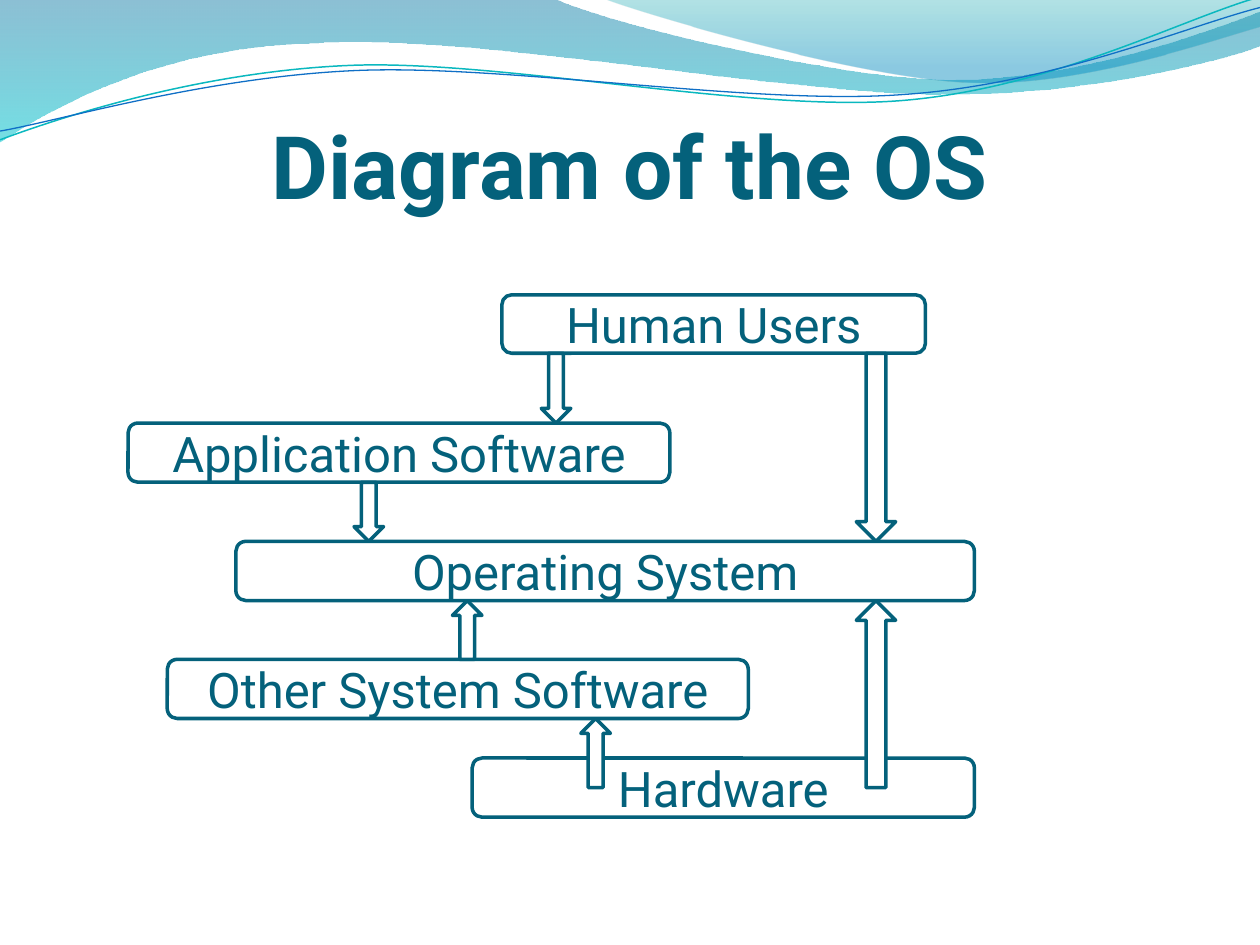
from dataclasses import dataclass
from math import cos, radians, sin
from typing import NamedTuple

from lxml.etree import SubElement
from pptx import Presentation
from pptx.dml.color import RGBColor
from pptx.enum.shapes import MSO_SHAPE
from pptx.enum.text import MSO_ANCHOR, PP_ALIGN
from pptx.oxml.ns import qn
from pptx.util import Pt


@dataclass(frozen=True)
class Theme:
    font: str = "Roboto"
    ink: str = "04617B"
    paper: str = "FFFFFF"
    title_size: float = 50
    label_size: float = 28
    outline: float = 2


class Stop(NamedTuple):
    position: float
    color: str
    opacity: int


class Wave(NamedTuple):
    start: tuple
    segments: list
    stops: tuple


class Swoosh(NamedTuple):
    start: tuple
    segments: list
    pivot: tuple
    color: str
    width: float


class Layer(NamedTuple):
    label: str
    left: float
    top: float
    width: float
    height: float = 33.8

    @property
    def bottom(self) -> float:
        return self.top + self.height

    @property
    def middle(self) -> float:
        return self.top + self.height / 2


class Arrow(NamedTuple):
    center: float
    start: float
    end: float
    width: float


THEME = Theme()
NARROW, WIDE = 16.9, 22.5
TILT = 2.7

WAVES = [
    Wave((0, 0), [
        (316.8, -0.7),
        (342.7, 12.2, 478.1, 45.4, 545.8, 45.4),
        (614.2, 45.4, 689.8, 18.7, 720, 6.5),
        (720.7, 25.9),
        (707.8, 31.7, 626.4, 54.7, 537.1, 54),
        (447.8, 54, 275, 20.2, 185, 24.5),
        (92.9, 25.9, 33.1, 59.8, -0.7, 81.4),
    ], (Stop(0, "0074A1", 45), Stop(1, "00C6CF", 55))),
    Wave((344.9, -0.7), [
        (366.5, 7.9, 491, 44.6, 553.7, 46.8),
        (616.3, 49.7, 691.9, 23, 720, 15.1),
        (720, 0),
    ], (Stop(0, "00A1A9", 30), Stop(0.8, "008BBF", 45))),
]
SWOOSHES = [
    Swoosh((0, 79.9), [
        (34.6, 67, 113.8, 41, 199.4, 37.4),
        (284.4, 33.8, 427, 64.1, 513.4, 57.6),
        (599.8, 51.1, 675.4, 10.8, 718.6, -1.4),
    ], (359.3, 41.4), "0AB8BF", 0.85),
    Swoosh((0, 74.9), [
        (33.8, 69.1, 118.1, 43.9, 203.8, 40.3),
        (290.2, 36.7, 430.6, 60.5, 516.2, 54),
        (601.9, 48.2, 677.5, 15.1, 720, 4.3),
    ], (359.6, 42.5), "0F6FC6", 0.75),
]

USERS = Layer("Human Users", 286.8, 168.5, 242, 33.4)
APPLICATIONS = Layer("Application Software", 73.2, 241.8, 309.6)
SYSTEM = Layer("Operating System", 134.8, 309.4, 422)
OTHER = Layer("Other System Software", 95.6, 376.8, 332)
HARDWARE = Layer("Hardware", 269.8, 433.2, 287)
LAYERS = [USERS, APPLICATIONS, SYSTEM, OTHER, HARDWARE]
ARROWS = [
    Arrow(500.6, USERS.bottom, SYSTEM.top, WIDE),
    Arrow(500.6, HARDWARE.middle, SYSTEM.bottom, WIDE),
    Arrow(340.4, HARDWARE.middle, OTHER.bottom, NARROW),
    Arrow(267, OTHER.top, SYSTEM.bottom, NARROW),
    Arrow(317.8, USERS.bottom, APPLICATIONS.top, NARROW),
    Arrow(210.8, APPLICATIONS.bottom, SYSTEM.top, NARROW),
]


def color(value: str) -> RGBColor:
    return RGBColor.from_string(value)


def turn(values: tuple, pivot: tuple, degrees: float) -> tuple:
    cosine, sine = cos(radians(degrees)), sin(radians(degrees))
    turned = []
    for x, y in zip(values[::2], values[1::2]):
        across, down = x - pivot[0], y - pivot[1]
        turned += [pivot[0] + across * cosine - down * sine,
                   pivot[1] + across * sine + down * cosine]
    return tuple(turned)


def draw_outline(page, start: tuple, segments: list, close: bool):
    builder = page.shapes.build_freeform(Pt(start[0]), Pt(start[1]), scale=1.0)
    builder.add_line_segments([(Pt(s[-2]), Pt(s[-1])) for s in segments], close=close)
    shape = builder.convert_to_shape()
    shape.shadow.inherit = False
    lines = list(shape._element.spPr.iter(qn("a:lnTo")))
    for line, segment in zip(lines, segments):
        if len(segment) == 2:
            continue
        line.tag = qn("a:cubicBezTo")
        for index, (x, y) in enumerate((segment[:2], segment[2:4])):
            point = line.makeelement(qn("a:pt"), {
                "x": str(Pt(x) - shape.left), "y": str(Pt(y) - shape.top)})
            line.insert(index, point)
    return shape


def draw_wave(page, wave: Wave) -> None:
    shape = draw_outline(page, wave.start, wave.segments, True)
    shape.line.fill.background()
    shape.fill.gradient()
    shape.fill.gradient_angle = 270
    for target, stop in zip(shape.fill.gradient_stops, wave.stops):
        target.position = stop.position
        target.color.rgb = color(stop.color)
    for node, stop in zip(shape._element.spPr.iter(qn("a:srgbClr")), wave.stops):
        SubElement(node, qn("a:alpha")).set("val", str(stop.opacity * 1000))


def draw_swoosh(page, swoosh: Swoosh) -> None:
    start = turn(swoosh.start, swoosh.pivot, TILT)
    segments = [turn(segment, swoosh.pivot, TILT) for segment in swoosh.segments]
    shape = draw_outline(page, start, segments, False)
    shape.rotation = 360 - TILT
    shape.fill.background()
    shape.line.color.rgb = color(swoosh.color)
    shape.line.width = Pt(swoosh.width)


def write(box, text: str, size: float, bold: bool, anchor: MSO_ANCHOR) -> None:
    frame = box.text_frame
    frame.text = text
    frame.word_wrap = True
    frame.vertical_anchor = anchor
    para = frame.paragraphs[0]
    para.alignment = PP_ALIGN.CENTER
    font = para.runs[0].font
    font.name, font.size, font.bold = THEME.font, Pt(size), bold
    font.color.rgb = color(THEME.ink)


def draw_title(page, text: str) -> None:
    box = page.shapes.add_textbox(Pt(33.8), Pt(33.8), Pt(652.4), Pt(90))
    write(box, text, THEME.title_size, True, MSO_ANCHOR.BOTTOM)
    frame = box.text_frame
    frame.margin_left = frame.margin_right = frame.margin_bottom = 0


def draw_preset(page, kind: MSO_SHAPE, left: float, top: float, width: float, height: float):
    shape = page.shapes.add_shape(kind, Pt(left), Pt(top), Pt(width), Pt(height))
    shape.shadow.inherit = False
    shape.fill.solid()
    shape.fill.fore_color.rgb = color(THEME.paper)
    shape.line.color.rgb = color(THEME.ink)
    shape.line.width = Pt(THEME.outline)
    return shape


def draw_layer(page, layer: Layer) -> None:
    box = draw_preset(page, MSO_SHAPE.ROUNDED_RECTANGLE, *layer[1:])
    write(box, layer.label, THEME.label_size, False, MSO_ANCHOR.MIDDLE)


def draw_arrow(page, arrow: Arrow) -> None:
    kind = MSO_SHAPE.DOWN_ARROW if arrow.end > arrow.start else MSO_SHAPE.UP_ARROW
    draw_preset(page, kind, arrow.center - arrow.width / 2, min(arrow.start, arrow.end),
                arrow.width, abs(arrow.end - arrow.start))


def main() -> None:
    deck = Presentation()
    deck.slide_width, deck.slide_height = Pt(720), Pt(540)
    page = deck.slides.add_slide(deck.slide_layouts[6])
    for wave in WAVES:
        draw_wave(page, wave)
    for swoosh in SWOOSHES:
        draw_swoosh(page, swoosh)
    draw_title(page, "Diagram of the OS")
    for layer in LAYERS:
        draw_layer(page, layer)
    for arrow in ARROWS:
        draw_arrow(page, arrow)
    deck.save("out.pptx")


if __name__ == "__main__":
    main()
